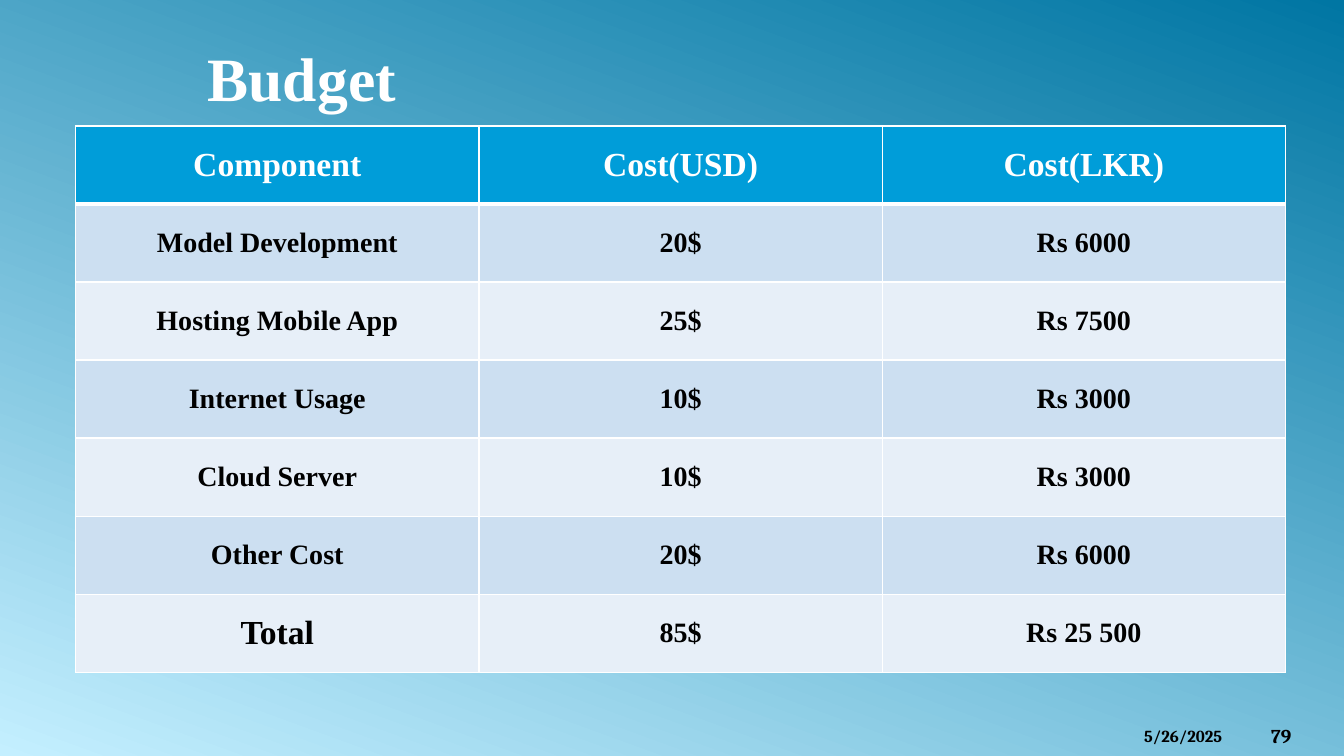
from dataclasses import dataclass

from lxml.etree import SubElement
from pptx import Presentation
from pptx.dml.color import RGBColor
from pptx.enum.text import MSO_ANCHOR, PP_ALIGN
from pptx.oxml.ns import qn
from pptx.util import Inches, Pt


@dataclass(frozen=True)
class Theme:
    gradient: tuple = ("0076A3", "C4EFFF")
    gradient_angle: int = 250
    header_fill: str = "009DD9"
    bands: tuple = ("CCDFF1", "E7EFF8")
    white: str = "FFFFFF"
    black: str = "000000"
    body_font: str = "Times New Roman"
    footer_font: str = "Cambria"
    title_size: int = 44
    heading_size: int = 24
    cell_size: int = 20
    number_size: int = 14
    date_size: int = 12
    thin_line: int = 1
    thick_line: int = 3


class SlideBuilder:
    def __init__(self, slide, theme):
        self.slide = slide
        self.theme = theme

    def background(self):
        fill = self.slide.background.fill
        fill.gradient()
        fill.gradient_angle = self.theme.gradient_angle
        for stop, color in zip(fill.gradient_stops, self.theme.gradient):
            stop.color.rgb = RGBColor.from_string(color)

    def style_text(self, frame, text, size, color, font, align):
        frame.text = text
        paragraph = frame.paragraphs[0]
        paragraph.alignment = align
        paragraph.font.name = font
        paragraph.font.size = Pt(size)
        paragraph.font.bold = True
        paragraph.font.color.rgb = RGBColor.from_string(color)

    def text(self, box, text, size, color, font,
             align=PP_ALIGN.LEFT, anchor=MSO_ANCHOR.MIDDLE):
        shape = self.slide.shapes.add_textbox(*map(Inches, box))
        shape.text_frame.word_wrap = True
        shape.text_frame.vertical_anchor = anchor
        self.style_text(shape.text_frame, text, size, color, font, align)

    def borders(self, cell, top, bottom):
        properties = cell._tc.get_or_add_tcPr()
        thin = self.theme.thin_line
        for side, width in (("L", thin), ("R", thin), ("T", top), ("B", bottom)):
            line = SubElement(properties, qn(f"a:ln{side}"), w=str(Pt(width)))
            fill = SubElement(line, qn("a:solidFill"))
            SubElement(fill, qn("a:srgbClr"), val=self.theme.white)

    def table(self, box, rows):
        theme = self.theme
        table = self.slide.shapes.add_table(
            len(rows), len(rows[0]), *map(Inches, box)).table
        for row_index, row in enumerate(rows):
            header = row_index == 0
            fill = theme.header_fill if header else theme.bands[(row_index - 1) % 2]
            color = theme.white if header else theme.black
            top = theme.thick_line if row_index == 1 else theme.thin_line
            bottom = theme.thick_line if header else theme.thin_line
            for column_index, text in enumerate(row):
                cell = table.cell(row_index, column_index)
                large = header or text == "Total"
                size = theme.heading_size if large else theme.cell_size
                self.borders(cell, top, bottom)
                cell.fill.solid()
                cell.fill.fore_color.rgb = RGBColor.from_string(fill)
                cell.vertical_anchor = MSO_ANCHOR.MIDDLE
                self.style_text(cell.text_frame, text, size, color,
                                theme.body_font, PP_ALIGN.CENTER)


BUDGET = [
    ("Component", "Cost(USD)", "Cost(LKR)"),
    ("Model Development", "20$", "Rs 6000"),
    ("Hosting Mobile App", "25$", "Rs 7500"),
    ("Internet Usage", "10$", "Rs 3000"),
    ("Cloud Server", "10$", "Rs 3000"),
    ("Other Cost", "20$", "Rs 6000"),
    ("Total", "85$", "Rs 25 500"),
]


def main():
    presentation = Presentation()
    presentation.slide_width = Inches(13.33)
    presentation.slide_height = Inches(7.5)
    theme = Theme()
    slide = presentation.slides.add_slide(presentation.slide_layouts[6])
    builder = SlideBuilder(slide, theme)
    builder.background()
    builder.text((12.51, 7.1, 0.74, 0.4), "79", theme.number_size,
                 theme.black, theme.footer_font)
    builder.text((11.25, 7.15, 1.17, 0.3), "5/26/2025", theme.date_size,
                 theme.black, theme.footer_font, anchor=MSO_ANCHOR.TOP)
    builder.text((0.33, 0.33, 5.33, 0.87), "Budget", theme.title_size,
                 theme.white, theme.body_font, PP_ALIGN.CENTER)
    builder.table((0.75, 1.25, 12, 5.42), BUDGET)
    presentation.save("out.pptx")


if __name__ == "__main__":
    main()
